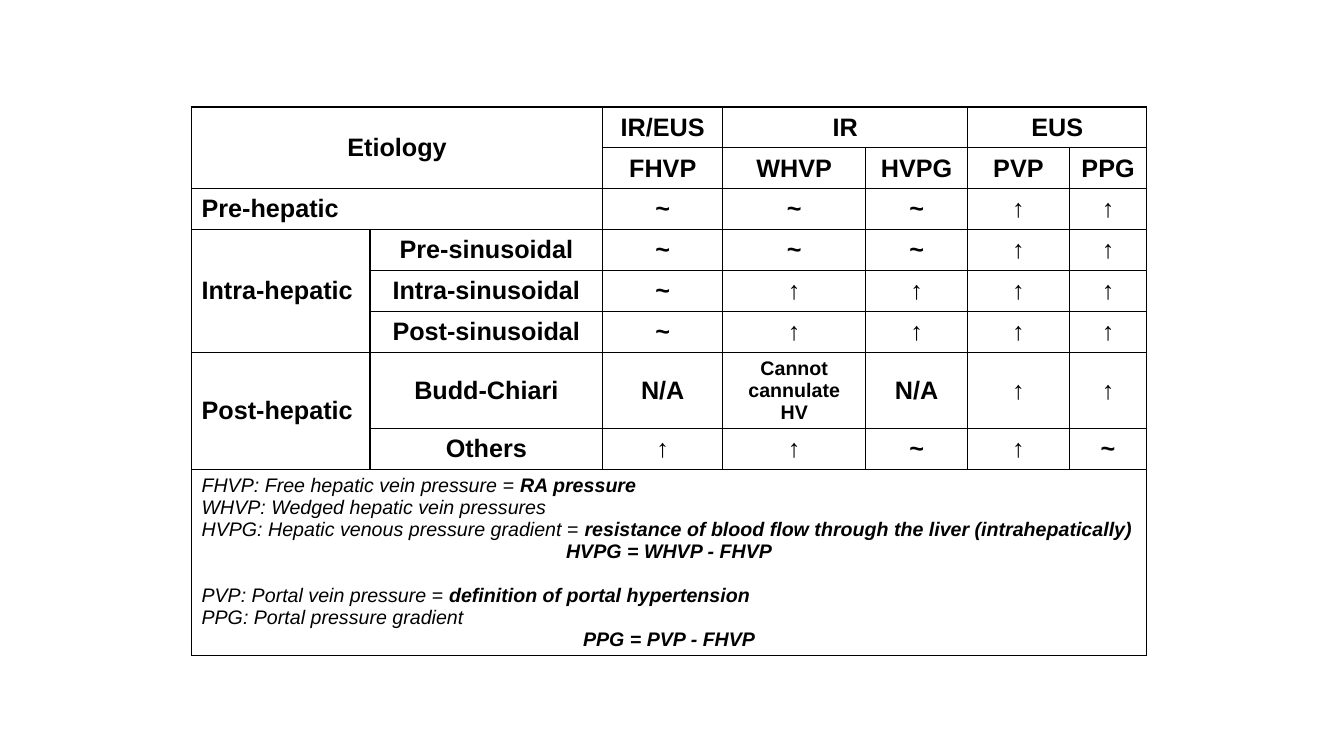
from dataclasses import dataclass

from lxml.etree import SubElement, fromstring
from pptx import Presentation
from pptx.dml.color import RGBColor
from pptx.enum.text import MSO_ANCHOR, PP_ALIGN
from pptx.oxml.ns import nsdecls, qn
from pptx.util import Pt


@dataclass(frozen=True)
class Theme:
    font: str = "Arial"
    ink: str = "000000"
    body: float = 18
    small: float = 14
    border: float = 1


THEME = Theme()
LEFT, TOP = 136.8, 76.4
COLUMN_WIDTHS = [127.5, 166.3, 85.7, 102.2, 72.7, 72.7, 55.4]
ROW_HEIGHTS = [29.2] * 6 + [54.4, 29.2, 132.8]

# Empty strings are cells covered by a merge.
ROWS = [
    ["Etiology", "", "IR/EUS", "IR", "", "EUS", ""],
    ["", "", "FHVP", "WHVP", "HVPG", "PVP", "PPG"],
    ["Pre-hepatic", "", "~", "~", "~", "↑", "↑"],
    ["Intra-hepatic", "Pre-sinusoidal", "~", "~", "~", "↑", "↑"],
    ["", "Intra-sinusoidal", "~", "↑", "↑", "↑", "↑"],
    ["", "Post-sinusoidal", "~", "↑", "↑", "↑", "↑"],
    ["Post-hepatic", "Budd-Chiari", "N/A", "Cannot cannulate HV", "N/A", "↑", "↑"],
    ["", "Others", "↑", "↑", "~", "↑", "~"],
    [""] * 7,
]
MERGES = [
    ((0, 0), (1, 1)), ((0, 3), (0, 4)), ((0, 5), (0, 6)),
    ((2, 0), (2, 1)), ((3, 0), (5, 0)), ((6, 0), (7, 0)), ((8, 0), (8, 6)),
]
SMALL_CELLS = {(6, 3)}

# Each note: plain text, bold text, alignment, space before.
NOTES = [
    ("FHVP: Free hepatic vein pressure = ", "RA pressure", PP_ALIGN.LEFT, 0),
    ("WHVP: Wedged hepatic vein pressures", "", PP_ALIGN.LEFT, 0),
    ("HVPG: Hepatic venous pressure gradient = ",
     "resistance of blood flow through the liver (intrahepatically)", PP_ALIGN.LEFT, 0),
    ("", "HVPG = WHVP - FHVP", PP_ALIGN.CENTER, 0),
    ("PVP: Portal vein pressure = ", "definition of portal hypertension", PP_ALIGN.LEFT, 15.7),
    ("PPG: Portal pressure gradient", "", PP_ALIGN.LEFT, 0),
    ("", "PPG = PVP - FHVP", PP_ALIGN.CENTER, 0),
]


def add_span(para, text, size, **styles):
    span = para.add_run()
    span.text = text
    formats = {"name": THEME.font, "size": Pt(size), **styles}
    for name, value in formats.items():
        setattr(span.font, name, value)
    span.font.color.rgb = RGBColor.from_string(THEME.ink)


def style_cell(cell):
    """Clear the fill and draw all four borders."""
    cell.vertical_anchor = MSO_ANCHOR.MIDDLE
    cell.fill.background()
    properties = cell._tc.get_or_add_tcPr()
    for position, side in enumerate(("lnL", "lnR", "lnT", "lnB")):
        line = fromstring(f'<a:{side} {nsdecls("a")} w="{Pt(THEME.border)}"/>')
        fill = SubElement(line, qn("a:solidFill"))
        SubElement(fill, qn("a:srgbClr"), val=THEME.ink)
        properties.insert(position, line)


def add_grid(page):
    frame = page.shapes.add_table(
        len(ROW_HEIGHTS), len(COLUMN_WIDTHS), Pt(LEFT), Pt(TOP),
        Pt(sum(COLUMN_WIDTHS)), Pt(sum(ROW_HEIGHTS)),
    )
    table = frame.table
    table.first_row = table.horz_banding = False
    for column, width in zip(table.columns, COLUMN_WIDTHS):
        column.width = Pt(width)
    for row, height in zip(table.rows, ROW_HEIGHTS):
        row.height = Pt(height)
    for cell in table.iter_cells():
        style_cell(cell)
    for first, last in MERGES:
        table.cell(*first).merge(table.cell(*last))
    return table


def fill_grid(table):
    for row, texts in enumerate(ROWS):
        for column, text in enumerate(texts):
            if not text:
                continue
            para = table.cell(row, column).text_frame.paragraphs[0]
            row_label = column == 0 and row > 0
            para.alignment = PP_ALIGN.LEFT if row_label else PP_ALIGN.CENTER
            size = THEME.small if (row, column) in SMALL_CELLS else THEME.body
            add_span(para, text, size, bold=True)


def fill_notes(cell):
    frame = cell.text_frame
    for index, (plain, strong, alignment, space) in enumerate(NOTES):
        para = frame.add_paragraph() if index else frame.paragraphs[0]
        para.alignment = alignment
        if space:
            para.space_before = Pt(space)
        for text, bold in ((plain, False), (strong, True)):
            if text:
                add_span(para, text, THEME.small, bold=bold, italic=True)


def main():
    deck = Presentation()
    deck.slide_width, deck.slide_height = Pt(960), Pt(540)
    page = deck.slides.add_slide(deck.slide_layouts[6])
    table = add_grid(page)
    fill_grid(table)
    fill_notes(table.cell(len(ROWS) - 1, 0))
    deck.save("out.pptx")


if __name__ == "__main__":
    main()
